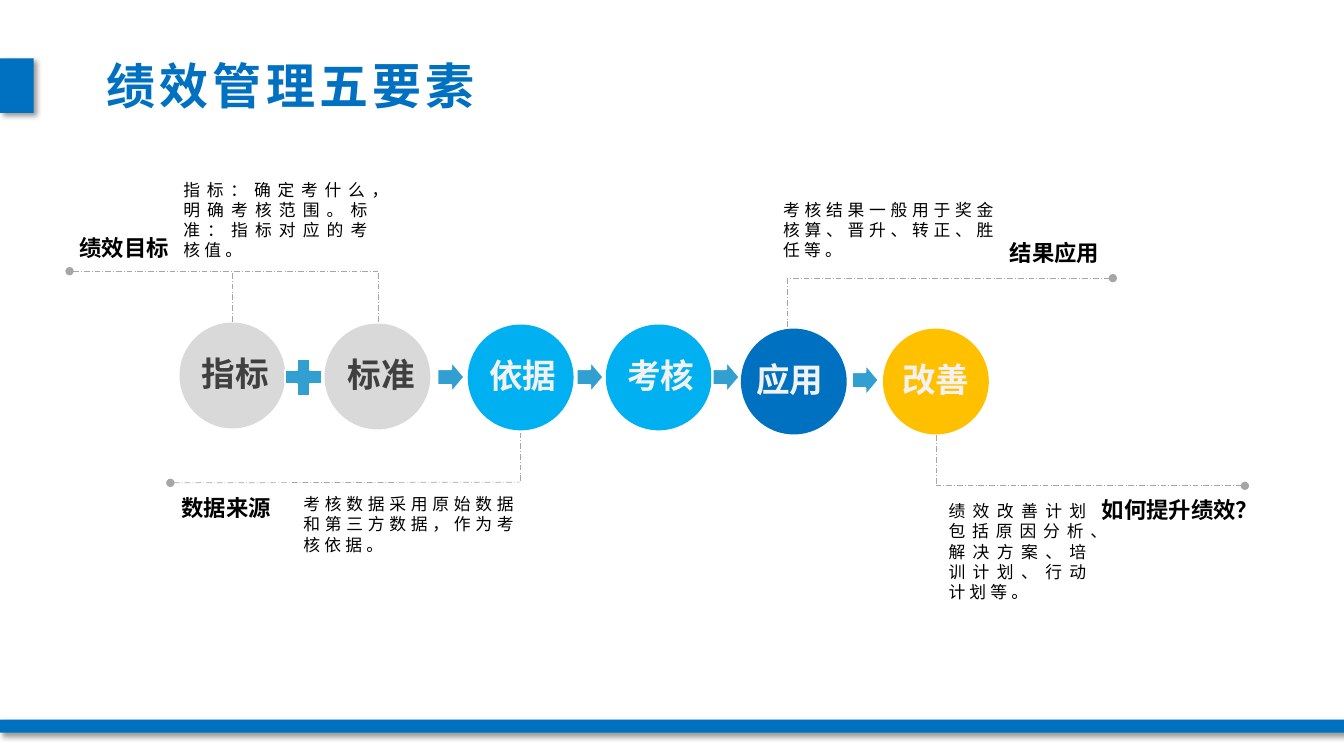
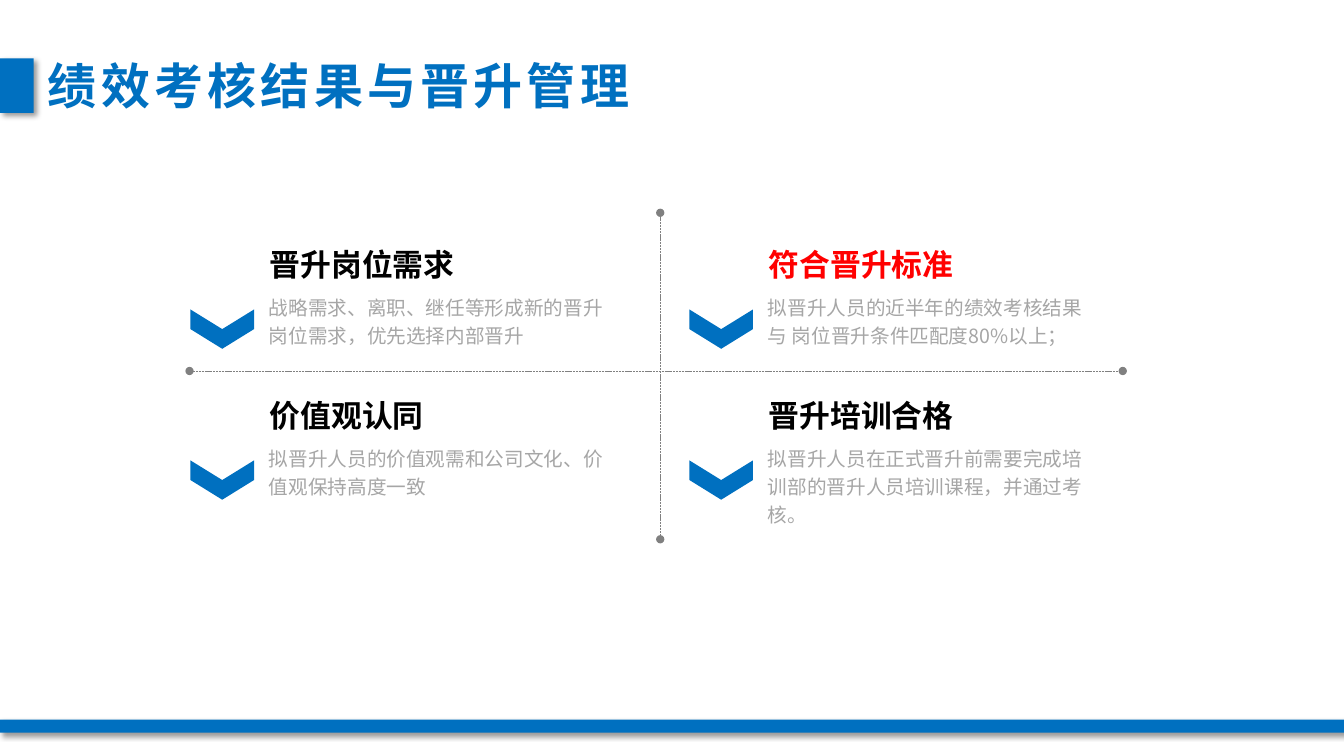
from lxml.etree import SubElement
from pptx import Presentation
from pptx.dml.color import RGBColor
from pptx.enum.dml import MSO_LINE as Dash
from pptx.enum.shapes import MSO_CONNECTOR as Link, MSO_SHAPE as Shape
from pptx.enum.text import MSO_AUTO_SIZE as AutoSize, PP_ALIGN as Align
from pptx.oxml.ns import qn
from pptx.util import Pt

BLUE = RGBColor(0x00, 0x70, 0xC0)
SKY = RGBColor(0x00, 0xB0, 0xF0)
STEEL = RGBColor(0x32, 0x9F, 0xD1)
AMBER = RGBColor(0xFF, 0xC0, 0x00)
RED = RGBColor(0xFF, 0x00, 0x00)
BLACK = RGBColor(0x00, 0x00, 0x00)
CHARCOAL = RGBColor(0x40, 0x40, 0x40)
GRAY = RGBColor(0x80, 0x80, 0x80)
SILVER = RGBColor(0xA6, 0xA6, 0xA6)
PALE = RGBColor(0xD9, 0xD9, 0xD9)
OFF_WHITE = RGBColor(0xF2, 0xF2, 0xF2)
WHITE = RGBColor(0xFF, 0xFF, 0xFF)

CJK_FONT = "Noto Sans CJK SC"
TITLE_FONT = "Lato"
PAGE_WIDTH, PAGE_HEIGHT = 960, 540


def write_text(frame, text, *, size, color, bold=False, font=CJK_FONT,
               align=Align.LEFT, tracking=0, line_spacing=None):
    para = frame.paragraphs[0]
    para.alignment = align
    if line_spacing:
        para.line_spacing = line_spacing
    span = para.add_run()
    span.text = text
    span.font.size, span.font.bold, span.font.name = Pt(size), bold, font
    span.font.color.rgb = color
    props = span.font._element
    if tracking:
        props.set("spc", str(tracking * 100))
    SubElement(props, qn("a:ea")).set("typeface", CJK_FONT)


class Deck:
    def __init__(self):
        self.deck = Presentation()
        self.deck.slide_width, self.deck.slide_height = Pt(PAGE_WIDTH), Pt(PAGE_HEIGHT)
        self.page = None

    def new_page(self, title, left, width):
        """Start a page with the title and the two shared bands."""
        self.page = self.deck.slides.add_slide(self.deck.slide_layouts[6])
        self.band(0, 41.8, 24, 38.9)
        self.band(0, 514, PAGE_WIDTH, 9.4)
        self.text(title, left, 36.4, width, 49.7, wrap=False, size=35, color=BLUE,
                  bold=True, font=TITLE_FONT, align=Align.CENTER, tracking=3)

    def shape(self, kind, left, top, width, height, fill, outline=None, rotation=0):
        shape = self.page.shapes.add_shape(kind, Pt(left), Pt(top), Pt(width), Pt(height))
        shape.shadow.inherit = False
        shape.rotation = rotation
        shape.fill.solid()
        shape.fill.fore_color.rgb = fill
        if outline is None:
            shape.line.fill.background()
        else:
            shape.line.color.rgb = outline
            shape.line.width = Pt(1.5)
        return shape

    def band(self, left, top, width, height):
        band = self.shape(Shape.RECTANGLE, left, top, width, height, BLUE)
        effects = band._element.spPr.find(qn("a:effectLst"))
        shadow = SubElement(effects, qn("a:outerShdw"), blurRad=str(Pt(4)), dist=str(Pt(3)),
                            dir="2700000", algn="tl", rotWithShape="0")
        tint = SubElement(shadow, qn("a:srgbClr"), val=str(BLACK))
        SubElement(tint, qn("a:alpha"), val="40000")

    def text(self, text, left, top, width, height, wrap=True, inset=True, **style):
        box = self.page.shapes.add_textbox(Pt(left), Pt(top), Pt(width), Pt(height))
        frame = box.text_frame
        frame.word_wrap = wrap
        frame.auto_size = AutoSize.SHAPE_TO_FIT_TEXT
        if not inset:
            frame.margin_left = frame.margin_right = frame.margin_top = frame.margin_bottom = 0
        write_text(frame, text, **style)

    def line(self, start, end, color, dash, ends=()):
        line = self.page.shapes.add_connector(Link.STRAIGHT, *map(Pt, start + end))
        line.line.color.rgb = color
        line.line.width = Pt(0.5)
        line.line.dash_style = dash
        outline = line.line._get_or_add_ln()
        for name in ends:
            SubElement(outline, qn(f"a:{name}"), type="oval")
        SubElement(line._element.spPr, qn("a:effectLst"))

    def leader(self, start, end):
        self.line(start, end, SILVER, Dash.LONG_DASH_DOT, ["headEnd"])

    def stem(self, x, top):
        self.line((x, top), (x, top + 35.6), SILVER, Dash.LONG_DASH_DOT)

    def callout(self, heading, heading_at, body, body_at, width, height):
        self.text(heading, *heading_at, 146, 19.4, inset=False, size=16, color=BLACK, bold=True)
        self.text(body, *body_at, width, height, inset=False, size=12, color=BLACK,
                  align=Align.JUSTIFY, tracking=3)


def add_elements_page(deck):
    deck.new_page("绩效管理五要素", 66.2, 283)

    # Leader lines with their stems
    deck.leader((49.7, 193.7), (270, 193.7))
    deck.leader((794.9, 198.7), (562.3, 198.7))
    deck.leader((121.7, 344.9), (371.5, 344.4))
    deck.leader((889.2, 347), (668.9, 347))
    for x, top in [(166.3, 195), (270, 195), (371.5, 309), (562.3, 199), (668.9, 311)]:
        deck.stem(x, top)

    # Circles: name, left, top, label shift, fill, text colour
    diameter = 75.6
    for name, left, top, shift, fill, ink in [
        ("指标", 128.2, 230.4, -4.4, PALE, CHARCOAL),
        ("标准", 231.8, 231.1, -3.6, PALE, CHARCOAL),
        ("依据", 334.1, 231.8, -5, SKY, OFF_WHITE),
        ("考核", 432.7, 231.8, -5, SKY, OFF_WHITE),
        ("应用", 529.2, 234.7, -9.4, BLUE, OFF_WHITE),
        ("改善", 630.7, 234.7, -6.5, AMBER, OFF_WHITE),
    ]:
        deck.shape(Shape.OVAL, left, top, diameter, diameter, fill)
        deck.text(name, left + shift, top + 18.2, 88.6, 36, size=24, color=ink,
                  bold=True, align=Align.CENTER)

    # Plus sign and arrows between circles
    plus = deck.shape(Shape.CROSS, 203.8, 256.3, 25.9, 26.6, STEEL, WHITE)
    plus.adjustments[0] = 0.32
    for left, top in [(312.5, 257.8), (411.8, 257.8), (509, 257.8), (608.4, 260)]:
        deck.shape(Shape.RIGHT_ARROW, left, top, 19.4, 23, STEEL, WHITE)

    # Explanations
    deck.callout("绩效目标", (56.9, 167), "指标：确定考什么，明确考核范围。标准：指标对应的考核值。",
                 (131, 128.2), 134.6, 58.3)
    deck.callout("结果应用", (721.4, 170.6), "考核结果一般用于奖金核算、晋升、转正、胜任等。",
                 (559.4, 142.6), 153.4, 43.9)
    deck.callout("数据来源", (129.6, 352.8), "考核数据采用原始数据和第三方数据，作为考核依据。",
                 (216.7, 352.8), 153.4, 43.9)
    deck.callout("如何提升绩效？", (787, 354.2),
                 "绩效改善计划包括原因分析、解决方案、培训计划、行动计划等。",
                 (677.5, 357.8), 101.5, 72.7)


def add_promotion_page(deck):
    deck.new_page("绩效考核结果与晋升管理", 23.8, 436.3)

    # Cross axes
    for start, end in [((135.4, 265), (802, 265)), ((471.6, 385.2), (471.6, 152))]:
        deck.line(start, end, GRAY, Dash.SQUARE_DOT, ["headEnd", "tailEnd"])

    # Two by two grid of conditions
    conditions = [
        ("晋升岗位需求", BLACK, "战略需求、离职、继任等形成新的晋升岗位需求，优先选择内部晋升"),
        ("符合晋升标准", RED, "拟晋升人员的近半年的绩效考核结果与 岗位晋升条件匹配度80%以上；"),
        ("价值观认同", BLACK, "拟晋升人员的价值观需和公司文化、价值观保持高度一致"),
        ("晋升培训合格", BLACK, "拟晋升人员在正式晋升前需要完成培训部的晋升人员培训课程，并通过考核。"),
    ]
    body_widths = (260.6, 245)
    for index, (heading, color, body) in enumerate(conditions):
        row, column = divmod(index, 2)
        left, top = 144.7 + 356.4 * column, 172 + 107.8 * row
        deck.shape(Shape.CHEVRON, left, top + 40.4, 28.1, 45.4, BLUE, rotation=90)
        deck.text(heading, left + 41, top, 190, 33.8, size=22, color=color, bold=True)
        deck.text(body, left + 40.3, top + 32.5, body_widths[column], 46,
                  size=14, color=SILVER, line_spacing=1.2)


def main():
    deck = Deck()
    add_elements_page(deck)
    add_promotion_page(deck)
    deck.deck.save("out.pptx")


if __name__ == "__main__":
    main()
